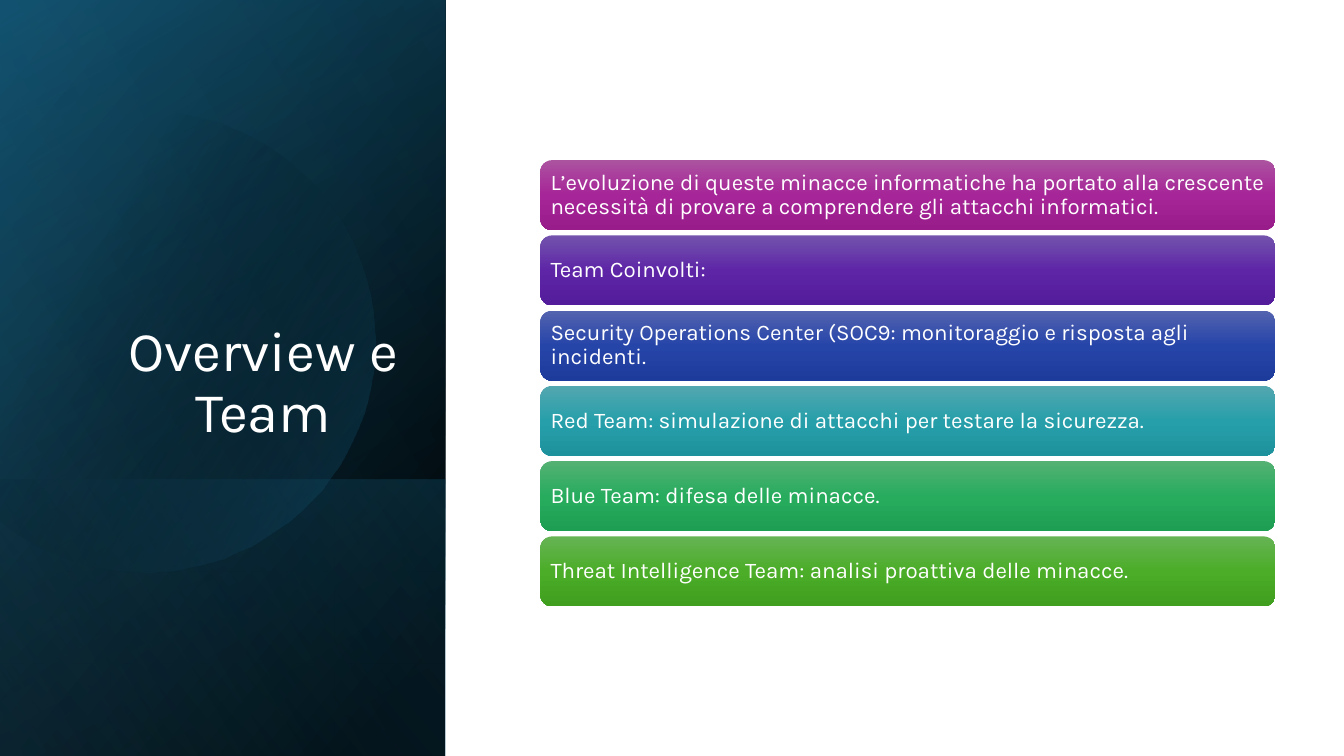
import pptx
import pptx.dml.color
import pptx.enum.shapes
import pptx.enum.text
import pptx.oxml
import pptx.oxml.ns
import pptx.util
from dataclasses import dataclass

Pt = pptx.util.Pt
SLIDE_WIDTH, SLIDE_HEIGHT = 960, 540


@dataclass(frozen=True)
class Theme:
    font: str = "Karla"
    title_size: int = 40
    bar_size: int = 16
    text: str = "FFFFFF"
    black: str = "000000"
    deep_teal: str = "104862"
    teal: str = "156082"
    sky: str = "46B1E1"
    bars: tuple = (
        ("AC53A0", "A62598", "991C8B"),
        ("7353AD", "5E26A7", "531C9A"),
        ("5363AF", "2645A9", "1D3B9B"),
        ("53A7B0", "279FAA", "1D929D"),
        ("54B173", "27AC5E", "1E9E52"),
        ("66B354", "4BAD28", "409F1E"),
    )


def fill_gradient(shape, stops, angle):
    """Fill with stops of (position %, colour, opacity %), angle clockwise in degrees."""
    stop_xml = "".join(
        f'<a:gs pos="{position * 1000}"><a:srgbClr val="{colour}">'
        f'<a:alpha val="{opacity * 1000}"/></a:srgbClr></a:gs>'
        for position, colour, opacity in stops
    )
    shape.fill.gradient()
    placeholder = shape._element.spPr.find(pptx.oxml.ns.qn("a:gradFill"))
    gradient = pptx.oxml.parse_xml(
        f'<a:gradFill {pptx.oxml.ns.nsdecls("a")} rotWithShape="1"><a:gsLst>{stop_xml}</a:gsLst>'
        f'<a:lin ang="{angle * 60000}" scaled="0"/></a:gradFill>'
    )
    placeholder.getparent().replace(placeholder, gradient)
    shape.line.fill.background()
    shape.shadow.inherit = False


def write_text(shape, text, *, font, size, colour, align, anchor, margins):
    """Write one paragraph; margins are left, top, right, bottom."""
    frame = shape.text_frame
    frame.word_wrap = True
    frame.vertical_anchor = anchor
    frame.margin_left, frame.margin_top, frame.margin_right, frame.margin_bottom = map(Pt, margins)
    paragraph = frame.paragraphs[0]
    paragraph.alignment = align
    paragraph.line_spacing = 0.9
    run = paragraph.add_run()
    run.text = text
    run.font.name = font
    run.font.size = Pt(size)
    run.font.color.rgb = pptx.dml.color.RGBColor.from_string(colour)


def curve_points(start, curves, steps=24):
    """Sample a chain of cubic curves, each given by two controls and an end."""
    points = [start]
    for control_1, control_2, end in curves:
        origin = points[-1]
        for step in range(1, steps + 1):
            t = step / steps
            points.append(tuple(
                (1 - t) ** 3 * a + 3 * (1 - t) ** 2 * t * b + 3 * (1 - t) * t ** 2 * c + t ** 3 * d
                for a, b, c, d in zip(origin, control_1, control_2, end)
            ))
    return points


class SlideBuilder:
    def __init__(self, slide, theme):
        self.slide = slide
        self.theme = theme

    def add_panel_layer(self, stops, angle, top=0, width=318):
        """Cover the left panel from top to the slide's foot with a turned gradient."""
        length = SLIDE_HEIGHT - top
        shape = self.slide.shapes.add_shape(
            pptx.enum.shapes.MSO_SHAPE.RECTANGLE,
            Pt((width - length) / 2), Pt(top + (length - width) / 2), Pt(length), Pt(width),
        )
        shape.rotation = 90
        shape._element.spPr.find(pptx.oxml.ns.qn("a:xfrm")).set("flipH", "1")
        fill_gradient(shape, stops, angle)

    def add_outline(self, points, stops, angle):
        builder = self.slide.shapes.build_freeform(*points[0], scale=Pt(1))
        builder.add_line_segments(points[1:], close=True)
        fill_gradient(builder.convert_to_shape(), stops, angle)

    def add_title(self, text, left, top, width, height):
        box = self.slide.shapes.add_textbox(Pt(left), Pt(top), Pt(width), Pt(height))
        write_text(
            box, text, font=self.theme.font, size=self.theme.title_size, colour=self.theme.text,
            align=pptx.enum.text.PP_ALIGN.CENTER, anchor=pptx.enum.text.MSO_ANCHOR.BOTTOM,
            margins=(42.4, 3.6, 4, 3.6),
        )

    def add_bar(self, text, colours, left, top, width, height):
        bar = self.slide.shapes.add_shape(
            pptx.enum.shapes.MSO_SHAPE.ROUNDED_RECTANGLE, Pt(left), Pt(top), Pt(width), Pt(height)
        )
        fill_gradient(bar, [(i * 50, colour, 100) for i, colour in enumerate(colours)], 90)
        write_text(
            bar, text, font=self.theme.font, size=self.theme.bar_size, colour=self.theme.text,
            align=pptx.enum.text.PP_ALIGN.LEFT, anchor=pptx.enum.text.MSO_ANCHOR.MIDDLE,
            margins=(4.8,) * 4,
        )


BAR_TEXTS = (
    "L’evoluzione di queste minacce informatiche ha portato alla crescente necessità di provare "
    "a comprendere gli attacchi informatici.",
    "Team Coinvolti:",
    "Security Operations Center (SOC9: monitoraggio e risposta agli incidenti.",
    "Red Team: simulazione di attacchi per testare la sicurezza.",
    "Blue Team: difesa delle minacce.",
    "Threat Intelligence Team: analisi proattiva delle minacce.",
)


def main():
    presentation = pptx.Presentation()
    presentation.slide_width, presentation.slide_height = Pt(SLIDE_WIDTH), Pt(SLIDE_HEIGHT)
    theme = Theme()
    builder = SlideBuilder(presentation.slides.add_slide(presentation.slide_layouts[6]), theme)

    builder.add_panel_layer([(8, theme.black, 100), (100, theme.deep_teal, 100)], 50)
    builder.add_panel_layer([(0, theme.black, 0), (99, theme.teal, 46)], 30)
    builder.add_panel_layer([(2, theme.teal, 29), (100, theme.black, 30)], 130, top=342.7)
    disc = curve_points((107, 79), [
        ((177, 81), (241, 127), (261, 198)),
        ((287, 286), (236, 377), (149, 402)),
        ((94, 418), (38, 404), (-2, 370)),
    ])
    disc += [(-11, 362), (-11, 126), (0, 116)]
    disc += curve_points((0, 116), [((17, 102), (36, 92), (58, 86)), ((74, 81), (91, 79), (107, 79))])
    builder.add_outline(disc, [(29, theme.black, 0), (100, theme.teal, 43)], 30)
    builder.add_panel_layer([(0, theme.black, 0), (99, theme.sky, 11)], 120)

    builder.add_title("Overview e Team", 46, 132.5, 245.6, 188.6)
    for row, (text, colours) in enumerate(zip(BAR_TEXTS, theme.bars)):
        builder.add_bar(text, colours, left=386, top=114.4 + row * 53.75, width=525, height=50)

    presentation.save("out.pptx")


if __name__ == "__main__":
    main()
